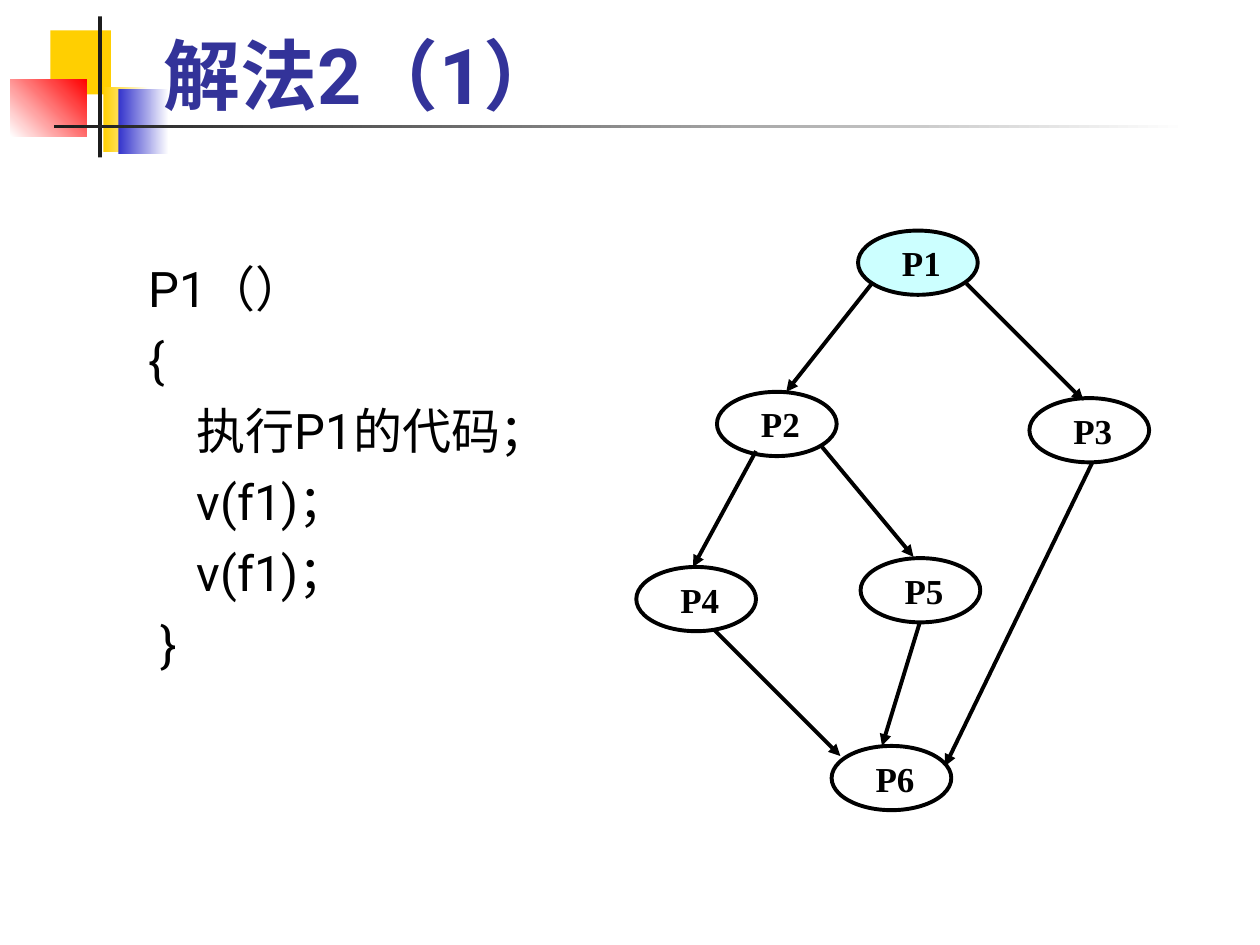
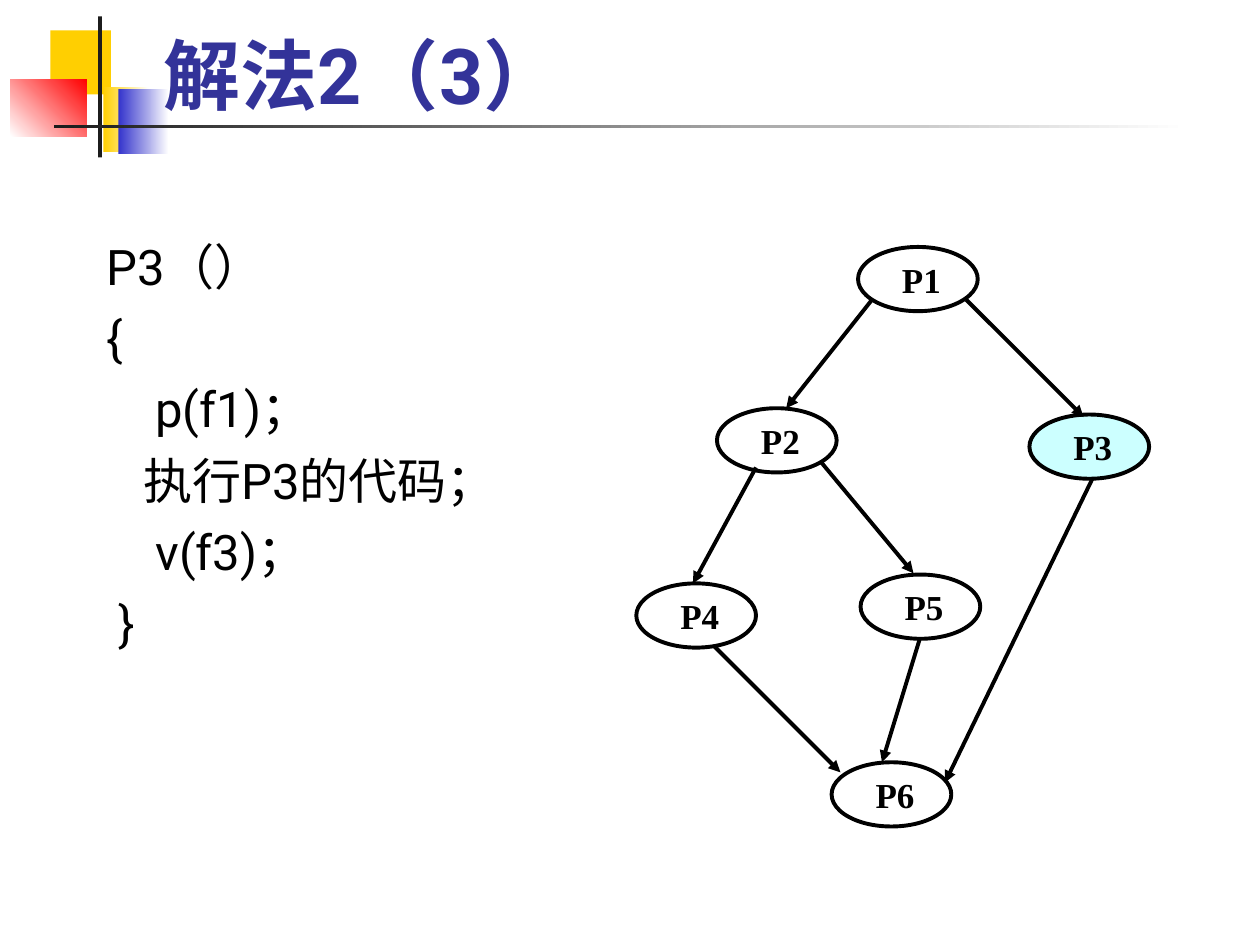
from lxml import etree
from pptx import Presentation
from pptx.dml.color import RGBColor
from pptx.enum.shapes import MSO_CONNECTOR, MSO_SHAPE
from pptx.enum.text import MSO_ANCHOR, PP_ALIGN
from pptx.oxml.ns import qn
from pptx.util import Inches, Pt

BLACK, WHITE, DARK = "000000", "FFFFFF", "1C1C1C"
YELLOW, BLUE, RED = "FFCF01", "3333CC", "FF0000"
TITLE_COLOR, HIGHLIGHT = "333399", "CCFFFF"
SANS, SERIF = "Roboto", "Times New Roman"
LINE_WIDTH = Pt(2.25)

# left, top, width, height, first colour, last colour, angle
DECORATION = [
    (0.4, 0.24, 0.48, 0.51, YELLOW, None, 0),
    (0.82, 0.69, 0.36, 0.52, YELLOW, WHITE, 0),
    (0.94, 0.71, 0.4, 0.51, BLUE, WHITE, 0),
    (0.08, 0.63, 0.61, 0.45, WHITE, RED, 45),
    (0.78, 0.13, 0.03, 1.12, DARK, None, 0),
    (0.43, 0.99, 9, 0.03, DARK, WHITE, 0),
]

# Places inside the graph box
NODE_SIZE = (0.95, 0.51)
NODES = {
    "P1": (1.76, 0), "P2": (0.64, 1.28), "P3": (3.12, 1.33),
    "P4": (0, 2.67), "P5": (1.78, 2.6), "P6": (1.55, 4.09),
}
ARROWS = [
    (1.87, 0.42, 1.19, 1.28),  # P1 to P2
    (2.62, 0.42, 3.55, 1.35),  # P1 to P3
    (0.95, 1.75, 0.45, 2.67),  # P2 to P4
    (1.46, 1.7, 2.2, 2.59),    # P2 to P5
    (3.62, 1.84, 2.45, 4.25),  # P3 to P6
    (0.62, 3.17, 1.62, 4.17),  # P4 to P6
    (2.25, 3.11, 1.95, 4.09),  # P5 to P6
]

SLIDES = [
    dict(title="解法2（1）", active="P1",
         code_box=(1.08, 2, 4, 4.25), graph_at=(5.05, 1.83),
         code=["P1（）", "{", "    执行P1的代码；", "    v(f1)；", "    v(f1)；", " }"]),
    dict(title="解法2（3）", active="P3",
         code_box=(0.75, 1.83, 3.46, 3.65), graph_at=(5.05, 1.96),
         code=["P3（）", "{", "    p(f1)；", "   执行P3的代码；", "    v(f3)；", " }"]),
]


def rgb(color):
    return RGBColor.from_string(color)


def inches(*values):
    return [Inches(v) for v in values]


def write(sp, lines, size, font=SANS, color=BLACK, bold=False,
          anchor=MSO_ANCHOR.TOP, align=PP_ALIGN.LEFT, space=0, insets=None):
    tf = sp.text_frame
    tf.word_wrap = True
    tf.vertical_anchor = anchor
    if insets:
        (tf.margin_left, tf.margin_top,
         tf.margin_right, tf.margin_bottom) = inches(*insets)
    for i, line in enumerate(lines):
        p = tf.paragraphs[0] if i == 0 else tf.add_paragraph()
        p.alignment = align
        if i:
            p.space_before = Pt(space)
        r = p.add_run()
        r.text = line
        r.font.size, r.font.name, r.font.bold = Pt(size), font, bold
        r.font.color.rgb = rgb(color)
        east_asian = etree.SubElement(r.font._element, qn("a:ea"))
        east_asian.set("typeface", font)


def add_filled(slide, preset, box, fill, fade_to=None, angle=0, line=None):
    sp = slide.shapes.add_shape(preset, *inches(*box))
    sp.shadow.inherit = False
    if fade_to:
        sp.fill.gradient()
        sp.fill.gradient_angle = angle
        for stop, color in zip(sp.fill.gradient_stops, (fill, fade_to)):
            stop.color.rgb = rgb(color)
    else:
        sp.fill.solid()
        sp.fill.fore_color.rgb = rgb(fill)
    if line:
        sp.line.color.rgb = rgb(line)
        sp.line.width = LINE_WIDTH
    else:
        sp.line.fill.background()
    return sp


def add_arrow(slide, x1, y1, x2, y2):
    cx = slide.shapes.add_connector(MSO_CONNECTOR.STRAIGHT, *inches(x1, y1, x2, y2))
    cx.line.color.rgb = rgb(BLACK)
    cx.line.width = LINE_WIDTH
    etree.SubElement(cx.line._get_or_add_ln(), qn("a:tailEnd")).set("type", "triangle")
    etree.SubElement(cx._element.spPr, qn("a:effectLst"))


def add_header(slide, title):
    for *box, fill, fade_to, angle in DECORATION:
        add_filled(slide, MSO_SHAPE.RECTANGLE, box, fill, fade_to, angle)
    sp = slide.shapes.add_textbox(*inches(1.2, 0.17, 8.52, 0.83))
    write(sp, [title], 44, color=TITLE_COLOR, bold=True, anchor=MSO_ANCHOR.BOTTOM)


def add_code(slide, box, lines):
    sp = slide.shapes.add_textbox(*inches(*box))
    write(sp, lines, 28, align=PP_ALIGN.JUSTIFY, space=7)


def add_graph(slide, left, top, active):
    """Draw the precedence graph with the active process highlighted."""
    for name, (x, y) in NODES.items():
        sp = add_filled(slide, MSO_SHAPE.OVAL, (left + x, top + y, *NODE_SIZE),
                        HIGHLIGHT if name == active else WHITE, line=BLACK)
        write(sp, [name], 20, font=SERIF, bold=True,
              anchor=MSO_ANCHOR.MIDDLE, insets=(0.21, 0, 0, 0))
    for x1, y1, x2, y2 in ARROWS:
        add_arrow(slide, left + x1, top + y1, left + x2, top + y2)


def add_process_slide(prs, title, active, code_box, graph_at, code):
    slide = prs.slides.add_slide(prs.slide_layouts[6])
    add_header(slide, title)
    add_code(slide, code_box, code)
    add_graph(slide, *graph_at, active)


def main():
    prs = Presentation()
    prs.slide_width, prs.slide_height = inches(10, 7.5)
    for content in SLIDES:
        add_process_slide(prs, **content)
    prs.save("out.pptx")


if __name__ == "__main__":
    main()
